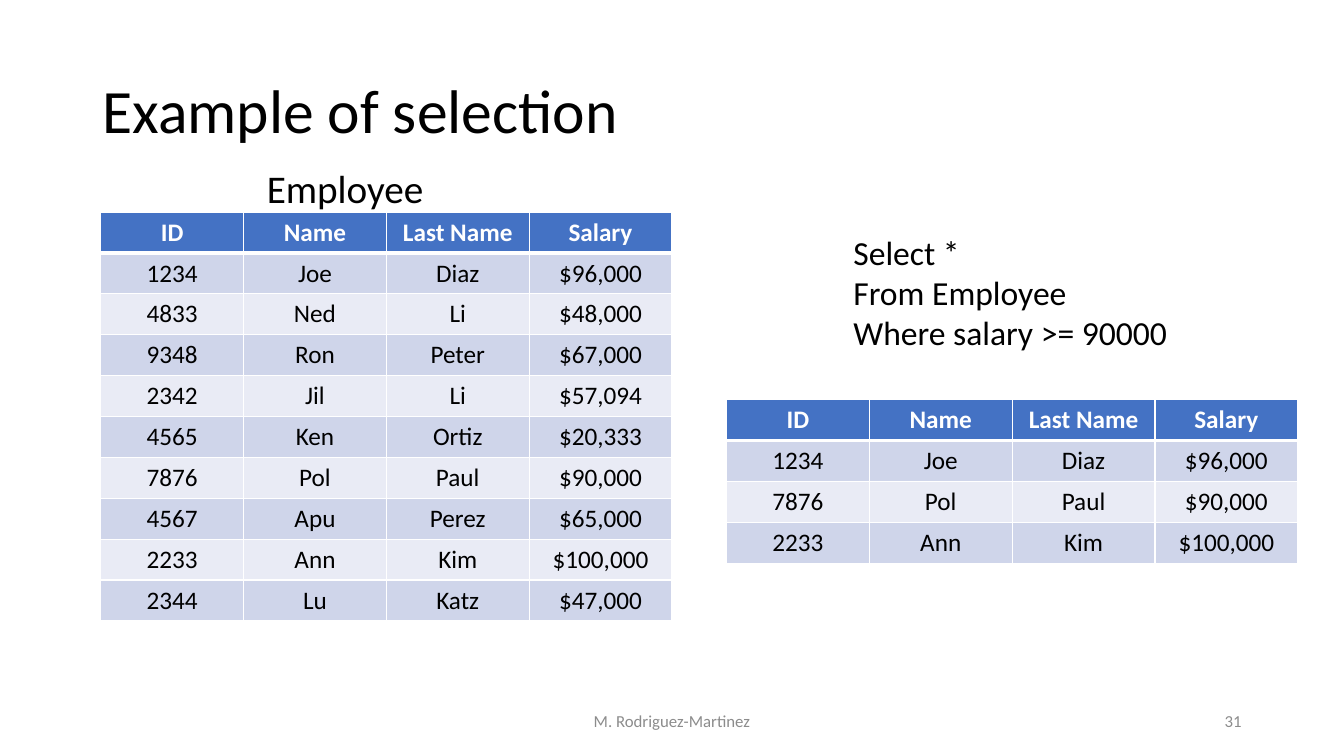
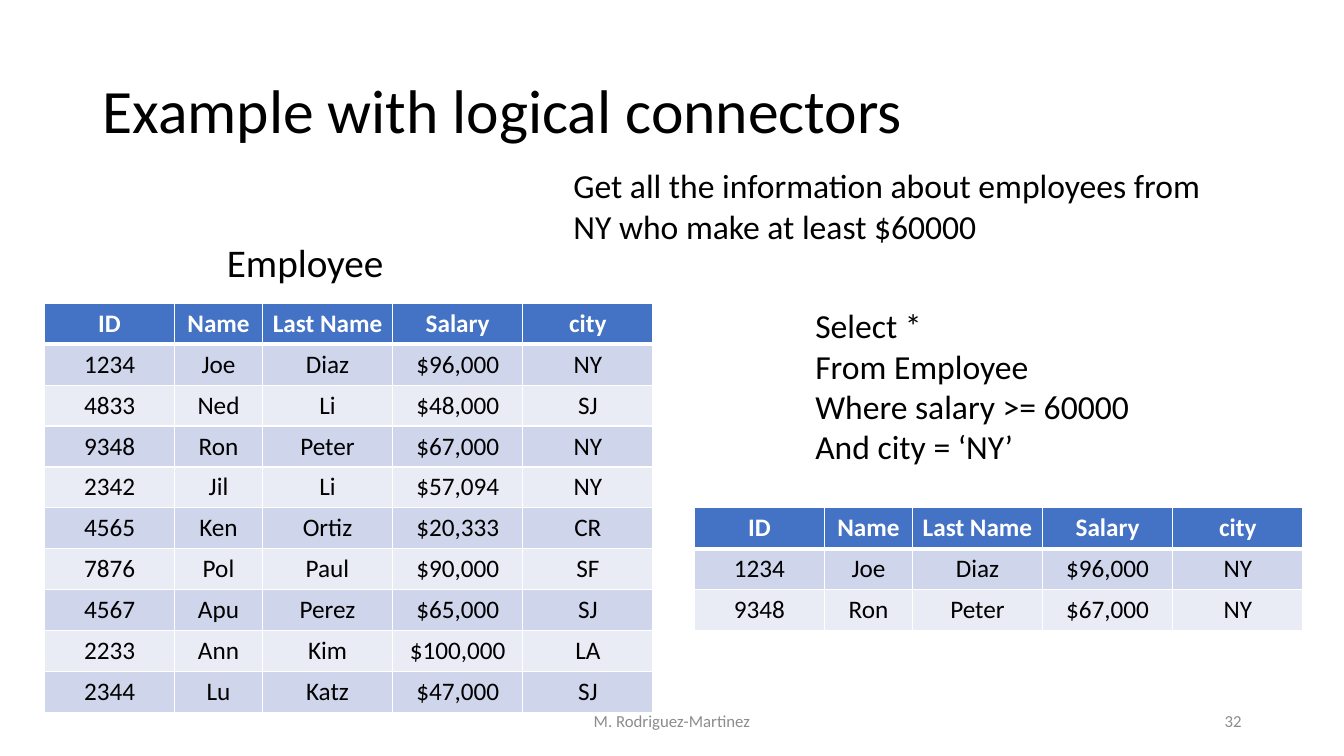
import lxml.etree
import pptx
import pptx.dml.color
import pptx.enum.text
import pptx.oxml.ns
import pptx.util

Pt = pptx.util.Pt
Align = pptx.enum.text.PP_ALIGN
Anchor = pptx.enum.text.MSO_ANCHOR
AutoSize = pptx.enum.text.MSO_AUTO_SIZE

# Employee data: ID, name, last name, salary, city
HEADERS = ("ID", "Name", "Last Name", "Salary", "city")
EMPLOYEES = [
    ("1234", "Joe", "Diaz", 96000, "NY"),
    ("4833", "Ned", "Li", 48000, "SJ"),
    ("9348", "Ron", "Peter", 67000, "NY"),
    ("2342", "Jil", "Li", 57094, "NY"),
    ("4565", "Ken", "Ortiz", 20333, "CR"),
    ("7876", "Pol", "Paul", 90000, "SF"),
    ("4567", "Apu", "Perez", 65000, "SJ"),
    ("2233", "Ann", "Kim", 100000, "LA"),
    ("2344", "Lu", "Katz", 47000, "SJ"),
]


def color(value):
    return pptx.dml.color.RGBColor.from_string(value)


# Shared style and the current slide
class Deck:
    FONT = "Calibri"
    BLACK, WHITE, GRAY = "000000", "FFFFFF", "8C8C8C"
    HEADER_FILL = "4472C4"
    BAND_FILLS = ("CFD5EA", "E9EBF5")
    ROW_HEIGHT = 29.2

    def __init__(self):
        self.presentation = pptx.Presentation()
        self.presentation.slide_width = Pt(960)
        self.presentation.slide_height = Pt(540)
        self.slide = None

    def add_slide(self, title, number):
        layout = self.presentation.slide_layouts.get_by_name("Title Only")
        self.slide = self.presentation.slides.add_slide(layout)
        self.title(title)
        self.footer("M. Rodriguez-Martinez", 318, 324, Align.CENTER)
        self.footer(str(number), 678, 216, Align.RIGHT)

    def add_run(self, paragraph, text, size, text_color, align=Align.LEFT, bold=False):
        paragraph.alignment = align
        run = paragraph.add_run()
        run.text = text
        run.font.name = self.FONT
        run.font.size = Pt(size)
        run.font.bold = bold
        run.font.color.rgb = color(text_color)

    def title(self, text):
        shape = self.slide.shapes.title
        shape.left, shape.top = Pt(66), Pt(28.75)
        shape.width, shape.height = Pt(828), Pt(104.4)
        frame = shape.text_frame
        frame.auto_size = AutoSize.NONE
        frame.vertical_anchor = Anchor.MIDDLE
        paragraph = frame.paragraphs[0]
        paragraph.line_spacing = 0.9
        self.add_run(paragraph, text, 44, self.BLACK)

    def footer(self, text, left, width, align):
        shape = self.slide.shapes.add_textbox(Pt(left), Pt(500.5), Pt(width), Pt(28.75))
        frame = shape.text_frame
        frame.word_wrap = True
        frame.vertical_anchor = Anchor.MIDDLE
        self.add_run(frame.paragraphs[0], text, 12, self.GRAY, align)

    def text(self, lines, left, top, width, height, size=24, wrap=False):
        shape = self.slide.shapes.add_textbox(Pt(left), Pt(top), Pt(width), Pt(height))
        frame = shape.text_frame
        frame.word_wrap = wrap
        frame.auto_size = AutoSize.SHAPE_TO_FIT_TEXT
        for index, line in enumerate(lines):
            paragraph = frame.add_paragraph() if index else frame.paragraphs[0]
            self.add_run(paragraph, line, size, self.BLACK)

    def borders(self, cell, top, bottom):
        properties = cell._tc.get_or_add_tcPr()
        for side, width in (("L", 1), ("R", 1), ("T", top), ("B", bottom)):
            line = lxml.etree.SubElement(
                properties, pptx.oxml.ns.qn("a:ln" + side), w=str(int(Pt(width))))
            fill = lxml.etree.SubElement(line, pptx.oxml.ns.qn("a:solidFill"))
            lxml.etree.SubElement(fill, pptx.oxml.ns.qn("a:srgbClr"), val=self.WHITE)

    def employee_table(self, employees, left, top, column_widths):
        rows = [HEADERS] + [
            (key, name, last_name, f"${salary:,}", city)
            for key, name, last_name, salary, city in employees]
        table = self.slide.shapes.add_table(
            len(rows), len(column_widths), Pt(left), Pt(top),
            Pt(sum(column_widths)), Pt(self.ROW_HEIGHT * len(rows))).table
        for column, width in zip(table.columns, column_widths):
            column.width = Pt(width)
        for row_index, values in enumerate(rows):
            table.rows[row_index].height = Pt(self.ROW_HEIGHT)
            is_header = row_index == 0
            fill = self.HEADER_FILL if is_header else self.BAND_FILLS[(row_index - 1) % 2]
            for column_index, value in enumerate(values[:len(column_widths)]):
                cell = table.cell(row_index, column_index)
                self.borders(cell, 3 if row_index == 1 else 1, 3 if is_header else 1)
                cell.fill.solid()
                cell.fill.fore_color.rgb = color(fill)
                self.add_run(cell.text_frame.paragraphs[0], value, 18,
                             self.WHITE if is_header else self.BLACK,
                             Align.CENTER, bold=is_header)


# Selection with one condition
def selection_slide(deck):
    deck.add_slide("Example of selection", 31)
    widths = [102] * 4
    selected = [employee for employee in EMPLOYEES if employee[3] >= 90000]
    deck.employee_table(EMPLOYEES, 72, 151.5, widths)
    deck.employee_table(selected, 519, 285.5, widths)
    deck.text(["Employee"], 183.5, 114, 127.5, 41, size=28)
    deck.text(["Select *", "From Employee", "Where salary >= 90000"],
              602.5, 162, 240.5, 94.5)


# Selection with two conditions
def connectors_slide(deck):
    deck.add_slide("Example with logical connectors", 32)
    widths = [93, 62.75, 93, 93, 93]
    selected = [employee for employee in EMPLOYEES
                if employee[3] >= 60000 and employee[4] == "NY"]
    deck.employee_table(EMPLOYEES, 31.75, 216.75, widths)
    deck.employee_table(selected, 496, 362.75, widths)
    deck.text(["Employee"], 155, 166.5, 127.5, 41, size=28)
    deck.text(["Select *", "From Employee", "Where salary >= 60000", "And city = ‘NY’"],
              575.25, 214.5, 246.25, 123.75)
    deck.text(["Get all the information about employees from NY who make at least $60000"],
              402.5, 114.5, 480, 65.5, wrap=True)


def main():
    deck = Deck()
    selection_slide(deck)
    connectors_slide(deck)
    deck.presentation.save("out.pptx")


if __name__ == "__main__":
    main()
